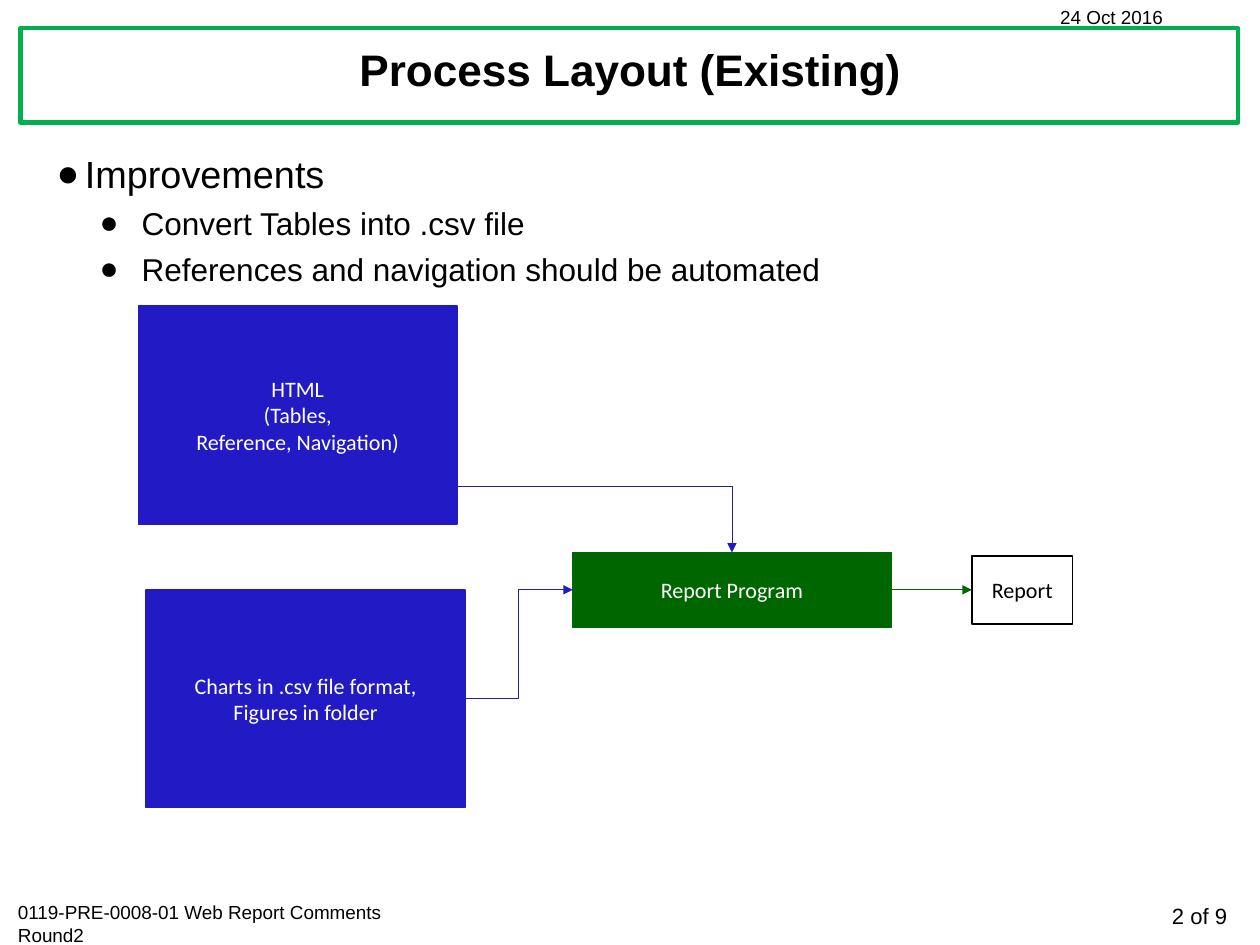
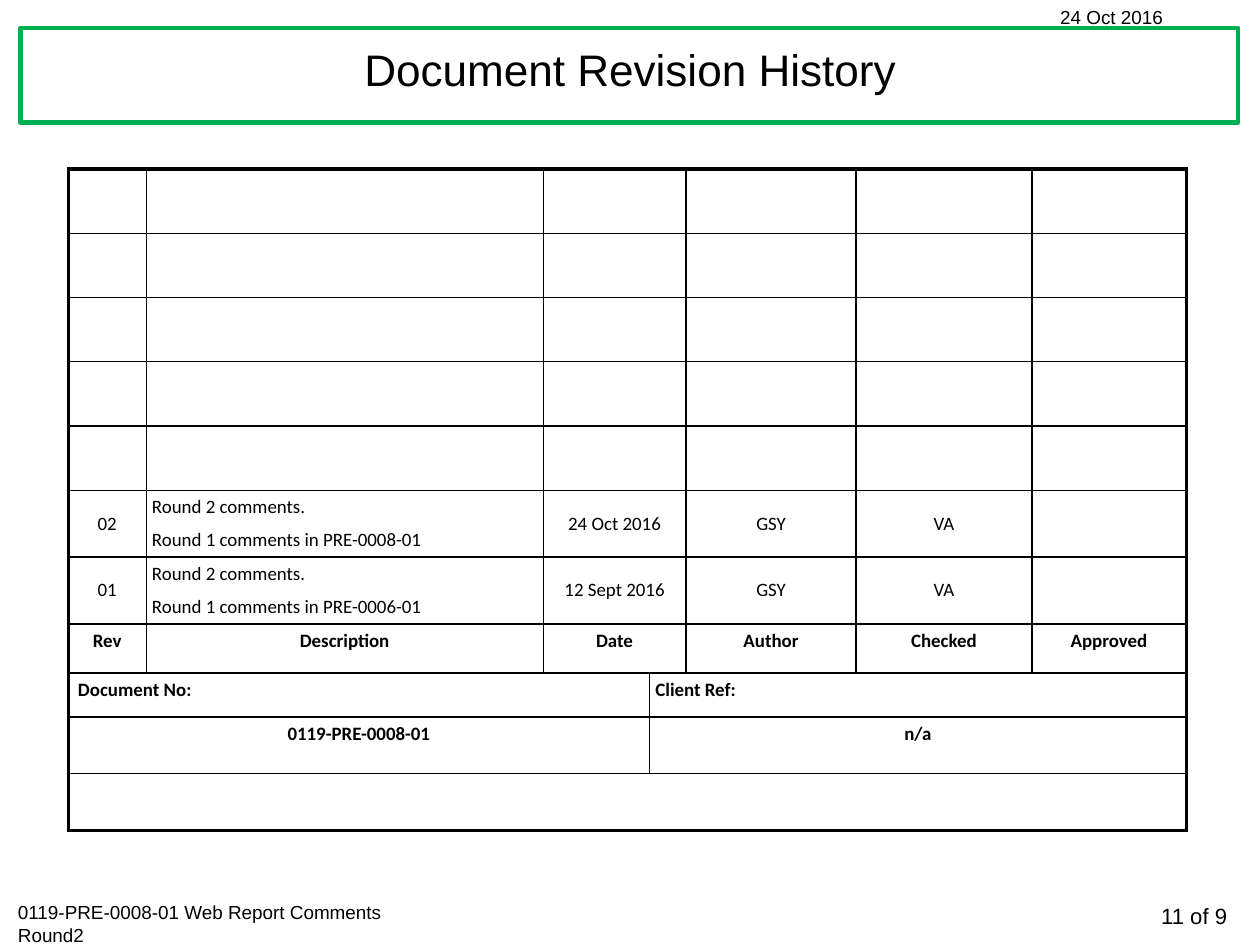
"""Build the process layout and revision history slides."""
from lxml import etree
from pptx import Presentation
from pptx.dml.color import RGBColor
from pptx.enum.shapes import MSO_CONNECTOR, MSO_SHAPE
from pptx.enum.text import MSO_ANCHOR, MSO_AUTO_SIZE, PP_ALIGN
from pptx.oxml.ns import qn
from pptx.util import Inches, Pt

BLACK = RGBColor(0x00, 0x00, 0x00)
WHITE = RGBColor(0xFF, 0xFF, 0xFF)
FRAME_GREEN = RGBColor(0x00, 0xB0, 0x50)
PROGRAM_GREEN = RGBColor(0x00, 0x66, 0x00)
INPUT_BLUE = RGBColor(0x22, 0x1A, 0xC4)

LEFT, CENTER, RIGHT = PP_ALIGN.LEFT, PP_ALIGN.CENTER, PP_ALIGN.RIGHT
TOP, MIDDLE = MSO_ANCHOR.TOP, MSO_ANCHOR.MIDDLE
NO_AUTOFIT = MSO_AUTO_SIZE.NONE
RECTANGLE = MSO_SHAPE.RECTANGLE
STRAIGHT, ELBOW = MSO_CONNECTOR.STRAIGHT, MSO_CONNECTOR.ELBOW
TOP_SITE, LEFT_SITE, RIGHT_SITE = 0, 1, 3

WIDTH, HEIGHT = Inches(11.11), Inches(8.33)
COLUMNS = 100
TITLE_ONLY = 5
THIN, THICK = Pt(1), Pt(2.25)

TITLE_FONT = {"name": "Arial", "size": Pt(28)}
FOOTER_FONT = {"name": "Arial", "size": Pt(12)}
NUMBER_FONT = {"name": "Arial", "size": Pt(14)}
BOX_FONT = {"name": "Calibri", "size": Pt(14)}
CELL_FONT = {"name": "Calibri", "size": Pt(12)}
BULLET_LEVELS = [
    {"size": Pt(24), "margin": 0.25, "hanging": 0.25, "before": 10},
    {"size": Pt(20), "margin": 0.75, "hanging": 0.37, "before": 5},
]

FOOTER = "0119-PRE-0008-01 Web Report Comments Round2"
ISSUE_DATE = "24 Oct 2016"

IMPROVEMENTS = [
    (0, "Improvements"),
    (1, "Convert Tables into .csv file"),
    (1, "References and navigation should be automated"),
]

TABLE_COLUMNS = [6.21, 31.5, 8.46, 2.88, 13.5, 13.95, 12.24]
ENTRY_SPANS, HALF_SPANS, FULL_SPAN = (1, 1, 2, 1, 1, 1), (3, 4), (7,)
ENTRY = {"spans": ENTRY_SPANS, "left": (1,), "anchor": MIDDLE}
HEADING = {"spans": ENTRY_SPANS, "bold": True}
LABEL = {"spans": HALF_SPANS, "left": (0, 3), "bold": True}
REFERENCE = {"spans": HALF_SPANS, "bold": True}
REVISION_ROWS = [(5.1, ENTRY, [])] * 5 + [
    (5.3, ENTRY, ["02", "Round 2 comments.\nRound 1 comments in PRE-0008-01",
                  "24 Oct 2016", "GSY", "VA"]),
    (5.3, ENTRY, ["01", "Round 2 comments.\nRound 1 comments in PRE-0006-01",
                  "12 Sept 2016", "GSY", "VA"]),
    (3.9, HEADING, ["Rev", "Description", "Date", "Author", "Checked", "Approved"]),
    (3.5, LABEL, [" Document No:", "Client Ref:"]),
    (4.5, REFERENCE, ["0119-PRE-0008-01", "n/a"]),
    (4.5, {"spans": FULL_SPAN}, []),
]


def grid(*lengths):
    return [round(length * WIDTH / COLUMNS) for length in lengths]


def apply(target, values):
    for name, value in values.items():
        setattr(target, name, value)


class Deck:
    """Hold the shared style and the current slide."""

    def __init__(self):
        self.presentation = Presentation()
        apply(self.presentation, {"slide_width": WIDTH, "slide_height": HEIGHT})
        self.slide = None

    def add_lines(self, frame, text, font, color=BLACK, align=LEFT, before=0):
        for index, line in enumerate(text.split("\n")):
            paragraph = frame.add_paragraph() if index else frame.paragraphs[0]
            paragraph.alignment = align
            if index and before:
                paragraph.space_before = Pt(before)
            run = paragraph.add_run()
            run.text = line
            apply(run.font, font)
            run.font.color.rgb = color

    def start(self, title, number, bold=False):
        layout = self.presentation.slide_layouts[TITLE_ONLY]
        self.slide = self.presentation.slides.add_slide(layout)
        frame = self.box((1.62, 2.25, 96.66, 7.47), WHITE, FRAME_GREEN, 2.75)
        self.text((84.6, 71.19, 13.68, 3.06), number, NUMBER_FONT, RIGHT)
        self.text((0.54, 71.01, 35.91, 4.5), FOOTER, FOOTER_FONT)
        self.text((83.25, 0, 15.12, 2.7), ISSUE_DATE, FOOTER_FONT)
        heading = self.slide.shapes.title
        frame.element.addnext(heading.element)
        left, top, width, height = grid(1.89, 2.25, 96.21, 7.02)
        apply(heading, {"left": left, "top": top, "width": width, "height": height})
        apply(heading.text_frame, {"vertical_anchor": MIDDLE, "word_wrap": True,
                                   "auto_size": NO_AUTOFIT})
        self.add_lines(heading.text_frame, title, {**TITLE_FONT, "bold": bold}, align=CENTER)
        heading.text_frame.paragraphs[0].line_spacing = 0.9

    def text(self, place, text, font, align=LEFT):
        frame = self.slide.shapes.add_textbox(*grid(*place)).text_frame
        frame.word_wrap = True
        self.add_lines(frame, text, font, align=align)

    def bullets(self, place, items):
        frame = self.slide.shapes.add_textbox(*grid(*place)).text_frame
        frame.word_wrap = True
        for index, (level, text) in enumerate(items):
            style = BULLET_LEVELS[level]
            paragraph = frame.add_paragraph() if index else frame.paragraphs[0]
            paragraph.level = level
            if index:
                paragraph.space_before = Pt(style["before"])
            properties = paragraph._p.get_or_add_pPr()
            properties.set("marL", str(Inches(style["margin"])))
            properties.set("indent", str(-Inches(style["hanging"])))
            etree.SubElement(properties, qn("a:buFont"), typeface="Arial")
            etree.SubElement(properties, qn("a:buChar"), char="●")
            run = paragraph.add_run()
            run.text = text
            apply(run.font, {"name": "Arial", "size": style["size"]})
            run.font.color.rgb = BLACK

    def box(self, place, fill, line, weight=1, text="", color=WHITE):
        shape = self.slide.shapes.add_shape(RECTANGLE, *grid(*place))
        shape.shadow.inherit = False
        if fill is None:
            shape.fill.background()
        else:
            shape.fill.solid()
            shape.fill.fore_color.rgb = fill
        shape.line.color.rgb = line
        shape.line.width = Pt(weight)
        if text:
            shape.text_frame.vertical_anchor = MIDDLE
            self.add_lines(shape.text_frame, text, BOX_FONT, color, CENTER)
        return shape

    def arrow(self, kind, color, target, site, source=None, start=(0, 0)):
        connector = self.slide.shapes.add_connector(kind, *grid(*start, *start))
        if source is not None:
            connector.begin_connect(source, RIGHT_SITE)
        connector.end_connect(target, site)
        connector.line.color.rgb = color
        connector.line.width = Pt(0.5)
        properties = connector.element.spPr
        etree.SubElement(properties.find(qn("a:ln")), qn("a:tailEnd"), type="triangle")
        etree.SubElement(properties, qn("a:effectLst"))
        if site == TOP_SITE:
            properties.find(qn("a:prstGeom")).set("prst", "bentConnector2")

    def table(self, left, top, columns, rows):
        place = grid(left, top, sum(columns), sum(row[0] for row in rows))
        table = self.slide.shapes.add_table(len(rows), len(columns), *place).table
        apply(table, {"first_row": False, "horz_banding": False})
        for column, width in zip(table.columns, grid(*columns)):
            column.width = width
        for index, (height, style, texts) in enumerate(rows):
            table.rows[index].height = grid(height)[0]
            first = 0
            for position, span in enumerate(style["spans"]):
                cell = table.cell(index, first)
                if span > 1:
                    cell.merge(table.cell(index, first + span - 1))
                apply(cell, {"vertical_anchor": style.get("anchor", TOP),
                             "margin_left": Inches(0.05), "margin_right": Inches(0.05)})
                if position < len(texts):
                    align = LEFT if first in style.get("left", ()) else CENTER
                    font = {**CELL_FONT, "bold": style.get("bold", False)}
                    self.add_lines(cell.text_frame, texts[position], font, align=align, before=6)
                outer = {"L": first == 0, "R": first + span == len(columns),
                         "T": index == 0, "B": index == len(rows) - 1}
                self.borders(cell, outer)
                first += span
            for cell in table.rows[index].cells:
                cell.fill.background()

    def borders(self, cell, outer):
        properties = cell._tc.get_or_add_tcPr()
        for side, thick in outer.items():
            line = etree.SubElement(properties, qn(f"a:ln{side}"), w=str(THICK if thick else THIN))
            fill = etree.SubElement(line, qn("a:solidFill"))
            etree.SubElement(fill, qn("a:srgbClr"), val=str(BLACK))


def main():
    deck = Deck()

    deck.start("Process Layout (Existing)", "2 of 9", bold=True)
    deck.bullets((3.6, 11.52, 92.52, 56.07), IMPROVEMENTS)
    program = deck.box((45.45, 43.83, 25.29, 5.94), PROGRAM_GREEN, PROGRAM_GREEN,
                       text="Report Program")
    deck.box((10.98, 24.3, 25.29, 17.28), INPUT_BLUE, INPUT_BLUE,
             text="HTML\n(Tables,\nReference, Navigation)")
    report = deck.box((77.13, 44.1, 8.01, 5.4), None, BLACK, text="Report", color=BLACK)
    charts = deck.box((11.61, 46.8, 25.29, 17.28), INPUT_BLUE, INPUT_BLUE,
                      text="Charts in .csv file format,\nFigures in folder")
    deck.arrow(ELBOW, INPUT_BLUE, program, TOP_SITE, start=(35.19, 38.61))
    deck.arrow(ELBOW, INPUT_BLUE, program, LEFT_SITE, source=charts)
    deck.arrow(STRAIGHT, PROGRAM_GREEN, report, LEFT_SITE, source=program)

    deck.start("Document Revision History", "11 of 9")
    deck.table(5.4, 13.41, TABLE_COLUMNS, REVISION_ROWS)

    deck.presentation.save("out.pptx")


if __name__ == "__main__":
    main()
